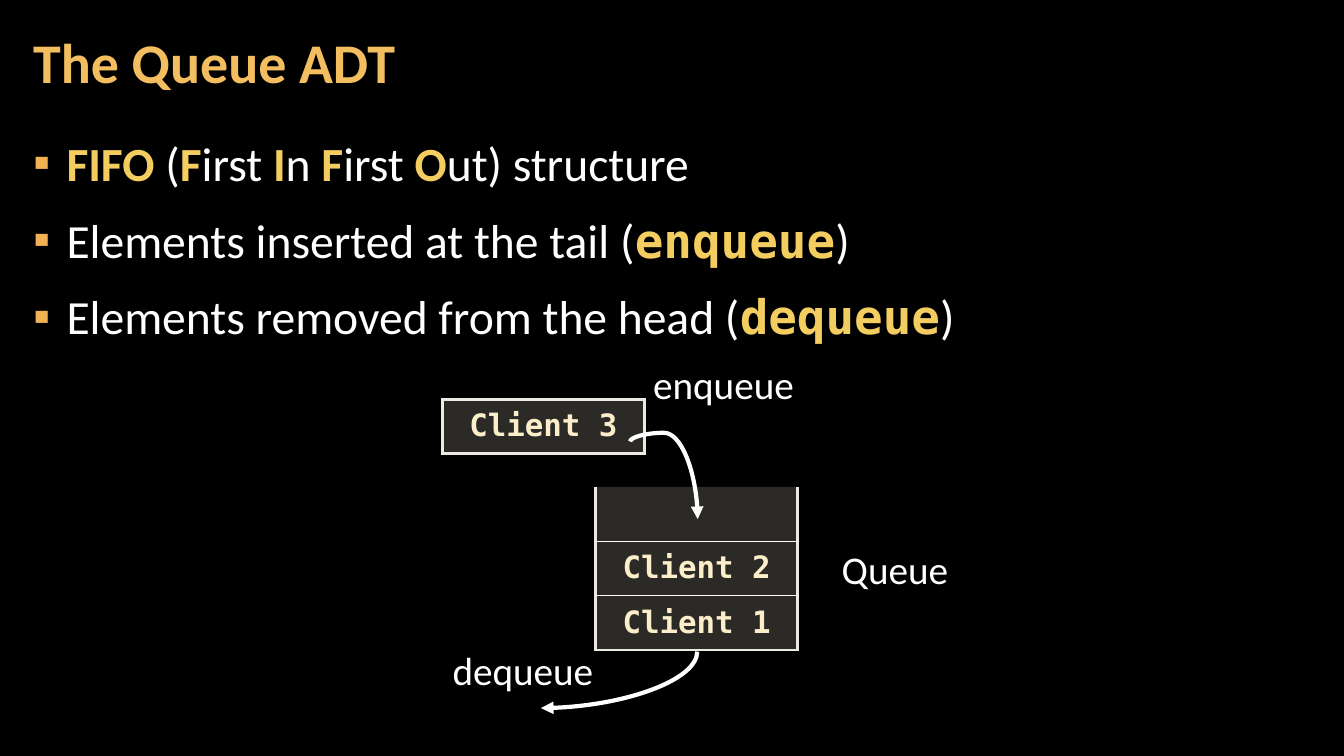
import pptx
import pptx.dml.color
import pptx.enum.shapes
import pptx.enum.text
import pptx.oxml
import pptx.oxml.ns
import pptx.util
from lxml import etree
from pptx.util import Inches

qn = pptx.oxml.ns.qn
ALIGN = pptx.enum.text.PP_ALIGN
ANCHOR = pptx.enum.text.MSO_ANCHOR

BODY = "Calibri"
CODE = "DejaVu Sans Mono"
WHITE = "FFFFFF"
GOLD = "F3CD60"
TITLE = "F3BE60"
BULLET = "F2B254"
CREAM = "FBEEC9"
FRAME = (2.25, "ECEAE3")
RULE = (1, WHITE)


def color(value):
    return pptx.dml.color.RGBColor.from_string(value)


def paint(parent, value):
    fill = etree.SubElement(parent, qn("a:solidFill"))
    return etree.SubElement(fill, qn("a:srgbClr"), val=value)


class SlideBuilder:
    def __init__(self, deck):
        self.page = deck.slides.add_slide(deck.slide_layouts[6])
        background = self.page.background.fill
        background.solid()
        background.fore_color.rgb = color("000000")

    def style(self, span, size, value, font=BODY, bold=False):
        span.font.name = font
        span.font.size = pptx.util.Pt(size)
        span.font.bold = bold
        span.font.color.rgb = color(value)

    def frame(self, left, top, width, height, inset=(0.1, 0.05)):
        box = self.page.shapes.add_textbox(
            Inches(left), Inches(top), Inches(width), Inches(height))
        frame = box.text_frame
        frame.word_wrap = True
        frame.margin_left = frame.margin_right = Inches(inset[0])
        frame.margin_top = frame.margin_bottom = Inches(inset[1])
        return frame

    def title(self, text):
        frame = self.frame(0.21, 0.04, 10.47, 1.21, (0.12, 0.04))
        frame.vertical_anchor = ANCHOR.MIDDLE
        frame.text = text
        para = frame.paragraphs[0]
        para.line_spacing = 0.9
        self.style(para.runs[0], 40, TITLE, bold=True)

    def label(self, text, left, top, width):
        frame = self.frame(left, top, width, 0.57)
        frame.text = text
        self.style(frame.paragraphs[0].runs[0], 28, WHITE)

    def bullets(self, items):
        frame = self.frame(0.21, 1.26, 12.91, 6.09, (0.12, 0.04))
        for index, (text, key_font) in enumerate(items):
            para = frame.add_paragraph() if index else frame.paragraphs[0]
            properties = para._p.get_or_add_pPr()
            properties.set("marL", str(Inches(0.33)))
            properties.set("indent", str(-Inches(0.33)))
            paint(etree.SubElement(properties, qn("a:buClr")), BULLET)
            tint = properties.find(qn("a:buClr"))
            tint.append(tint[0][0])
            tint.remove(tint[0])
            etree.SubElement(properties, qn("a:buFont"), typeface=BODY)
            etree.SubElement(properties, qn("a:buChar"), char="▪")
            para.line_spacing = 1.05
            para.space_before = pptx.util.Pt(6 if index else 0)
            para.space_after = pptx.util.Pt(6)
            for position, part in enumerate(text.split("|")):
                if not part:
                    continue
                span = para.add_run()
                span.text = part
                if position % 2:
                    self.style(span, 34, GOLD, key_font, True)
                else:
                    self.style(span, 34, WHITE)

    def border(self, cell, sides):
        properties = cell._tc.get_or_add_tcPr()
        for index, (side, line) in enumerate(zip("LRTB", sides)):
            edge = etree.Element(qn("a:ln" + side))
            if line:
                edge.set("w", str(pptx.util.Pt(line[0])))
                paint(edge, line[1])
            else:
                etree.SubElement(edge, qn("a:noFill"))
            properties.insert(index, edge)

    def clients(self, left, top, names, lid):
        count = len(names)
        table = self.page.shapes.add_table(
            count, 1, Inches(left), Inches(top), Inches(2), Inches(0.54 * count)).table
        table.first_row = table.horz_banding = False
        for row, name in enumerate(names):
            cell = table.cell(row, 0)
            cell.vertical_anchor = ANCHOR.MIDDLE
            cell.fill.solid()
            cell.fill.fore_color.rgb = color("D9D5C7")
            shade = cell._tc.tcPr.find(qn("a:solidFill"))[0]
            etree.SubElement(shade, qn("a:alpha"), val="20000")
            self.border(cell, (FRAME, FRAME, RULE if row else lid,
                               RULE if row < count - 1 else FRAME))
            if name:
                cell.text = name
                para = cell.text_frame.paragraphs[0]
                para.alignment = ALIGN.CENTER
                para.line_spacing = 0.95
                self.style(para.runs[0], 22, CREAM, CODE, True)

    def curve(self, left, top, width, height, preset, turn, flip=False, bend=None):
        arrow = self.page.shapes.add_connector(
            pptx.enum.shapes.MSO_CONNECTOR.CURVE, Inches(left), Inches(top),
            Inches(left + width), Inches(top + height))
        arrow.line.color.rgb = color(WHITE)
        arrow.line.width = pptx.util.Pt(3)
        properties = arrow._element.spPr
        transform = properties.find(qn("a:xfrm"))
        transform.set("rot", str(turn * 60000))
        if flip:
            transform.set("flipH", "1")
        geometry = properties.find(qn("a:prstGeom"))
        geometry.set("prst", preset)
        if bend is not None:
            etree.SubElement(geometry.find(qn("a:avLst")), qn("a:gd"),
                             name="adj1", fmla=f"val {bend}")
        etree.SubElement(properties.find(qn("a:ln")), qn("a:tailEnd"), type="triangle")
        etree.SubElement(properties, qn("a:effectLst"))


def main():
    deck = pptx.Presentation()
    deck.slide_width = Inches(13.33)
    deck.slide_height = Inches(7.5)
    slide = SlideBuilder(deck)
    slide.bullets([
        ("|FIFO |(|F|irst |I|n |F|irst |O|ut) structure", BODY),
        ("Elements inserted at the tail (|enqueue|)", CODE),
        ("Elements removed from the head (|dequeue|)", CODE),
    ])
    slide.title("The Queue ADT")
    slide.clients(5.91, 4.83, ["", "Client 2", "Client 1"], None)
    slide.clients(4.39, 3.96, ["Client 3"], FRAME)
    slide.curve(6.2, 4.43, 0.77, 0.67, "curvedConnector3", 270, True, -11200)
    slide.curve(5.86, 5.97, 0.56, 1.55, "curvedConnector2", 90)
    slide.label("Queue", 8.25, 5.36, 1.75)
    slide.label("enqueue", 6.38, 3.53, 1.7)
    slide.label("dequeue", 4.39, 6.36, 1.73)
    deck.save("out.pptx")


if __name__ == "__main__":
    main()
